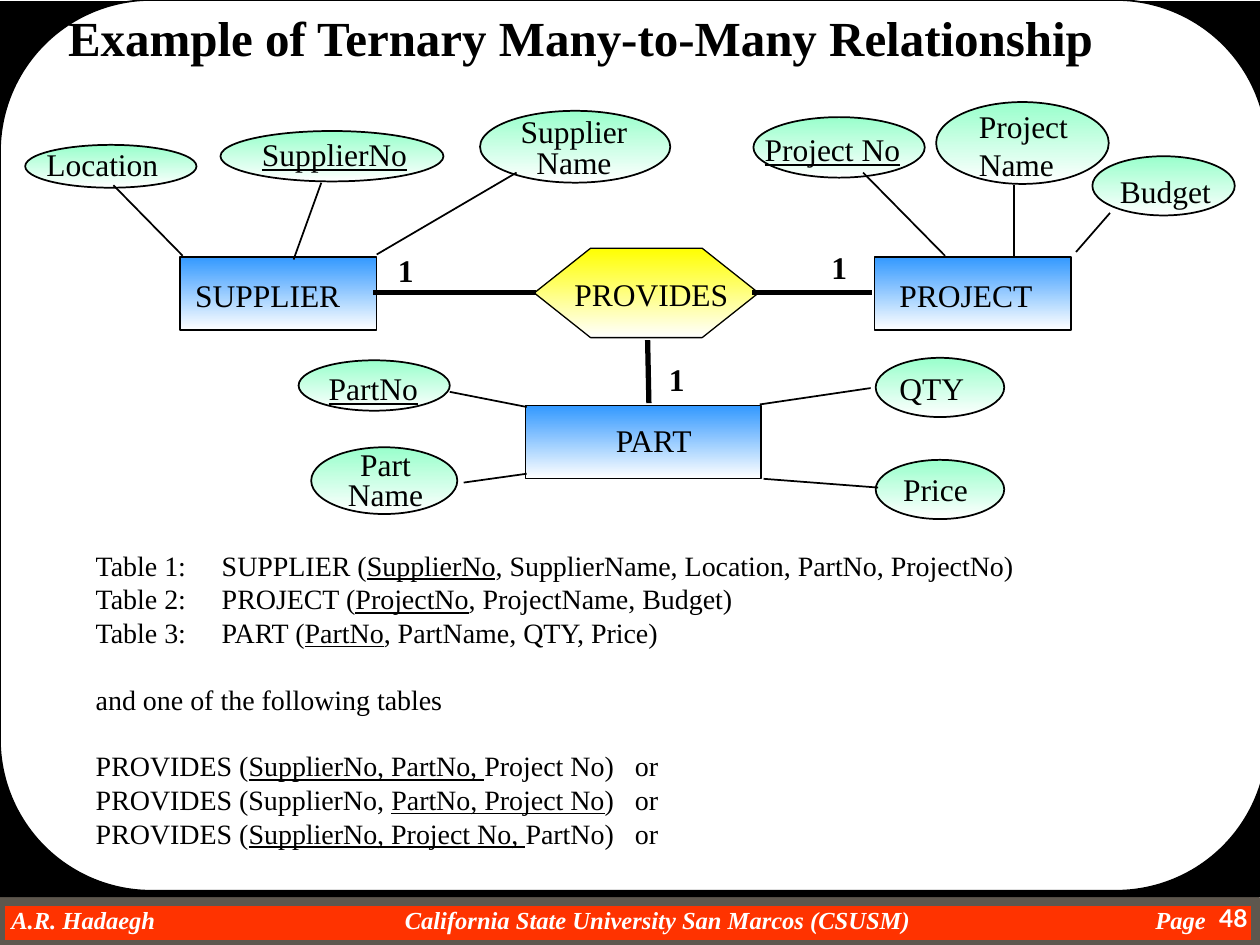
"""Build the slide on a ternary many-to-many relationship."""
from dataclasses import dataclass
from typing import NamedTuple

from lxml import etree
from pptx import Presentation
from pptx.dml.color import RGBColor
from pptx.enum import shapes, text
from pptx.oxml import ns
from pptx.util import Inches, Pt

KIND = shapes.MSO_SHAPE
ALIGN = text.PP_ALIGN


@dataclass(frozen=True)
class Theme:
    """Colours, fonts and type sizes."""

    ink: RGBColor = RGBColor(0, 0, 0)
    paper: RGBColor = RGBColor(255, 255, 255)
    entity: RGBColor = RGBColor(0x33, 0x99, 0xFF)
    attribute: RGBColor = RGBColor(0x99, 0xFF, 0xCC)
    relation: RGBColor = RGBColor(0xFF, 0xFF, 0)
    band: RGBColor = RGBColor(0xFF, 0x33, 0)
    band_edge: RGBColor = RGBColor(0x5E, 0x57, 0x4E)
    serif: str = "Times New Roman"
    sans: str = "Lato"
    title: int = 28
    label: int = 18
    tables: int = 16
    footer: int = 14


class Box(NamedTuple):
    """A rectangle in inches."""

    left: float
    top: float
    width: float
    height: float


class Node(NamedTuple):
    """A diagram symbol and its label."""

    box: Box
    label: str
    label_box: Box
    key: bool = False
    tight: bool = False


class Link(NamedTuple):
    """A line between two points in inches."""

    start: tuple[float, float]
    end: tuple[float, float]
    weight: float = 1


class Schema(NamedTuple):
    """A table line with an underlined key and an optional closing word."""

    lead: str
    key: str = ""
    rest: str = ""
    closing: str = ""
    gap: float = 0


THEME = Theme()
ENTITIES = [
    Node(Box(1.43, 2.04, 1.56, 0.58), "SUPPLIER", Box(1.45, 2.14, 1.35, 0.4)),
    Node(Box(6.94, 2.04, 1.56, 0.58), "PROJECT", Box(7.04, 2.14, 1.25, 0.4)),
    Node(Box(4.17, 3.22, 1.87, 0.58), "PART", Box(4.79, 3.29, 0.84, 0.4)),
]
ATTRIBUTES = [
    Node(Box(0.2, 1.15, 1.36, 0.34), "Location", Box(0.27, 1.1, 1.09, 0.4)),
    Node(Box(1.75, 1.04, 1.77, 0.4), "SupplierNo", Box(1.98, 1.02, 1.35, 0.4), key=True),
    Node(Box(3.81, 0.88, 1.51, 0.57), "Supplier\nName", Box(4.03, 0.9, 1.05, 0.58), tight=True),
    Node(Box(5.98, 0.93, 1.36, 0.48), "Project No", Box(5.97, 0.98, 1.27, 0.4), key=True),
    Node(Box(7.43, 0.81, 1.37, 0.65), "Project\nName", Box(7.67, 0.8, 0.91, 0.7)),
    Node(Box(8.67, 1.24, 1.13, 0.47), "Budget", Box(8.79, 1.32, 0.92, 0.4)),
    Node(Box(2.37, 2.86, 1.2, 0.4), "PartNo", Box(2.51, 2.88, 0.91, 0.4), key=True),
    Node(Box(2.47, 3.55, 1.16, 0.53), "Part\nName", Box(2.66, 3.54, 0.8, 0.58), tight=True),
    Node(Box(6.95, 2.84, 1.02, 0.47), "QTY", Box(7.04, 2.88, 0.71, 0.4)),
    Node(Box(6.95, 3.65, 1.02, 0.47), "Price", Box(7.07, 3.68, 0.71, 0.4)),
]
PROVIDES = Node(Box(4.24, 1.97, 1.78, 0.71), "PROVIDES", Box(4.46, 2.13, 1.42, 0.4))
LINKS = [
    Link((0.9, 1.47), (1.45, 2.03)),
    Link((2.55, 1.45), (2.33, 2.06)),
    Link((4.1, 1.37), (2.99, 2.02)),
    Link((6.85, 1.37), (7.5, 2.03)),
    Link((8.05, 1.47), (8.05, 2.03)),
    Link((8.81, 1.69), (8.54, 2)),
    Link((3.57, 3.11), (4.18, 3.23)),
    Link((3.68, 3.83), (4.18, 3.76)),
    Link((6.91, 3.08), (6.03, 3.21)),
    Link((6.97, 3.87), (6.06, 3.8)),
    Link((4.25, 2.32), (2.96, 2.32), 3),
    Link((5.97, 2.32), (6.92, 2.32), 3),
    Link((5.14, 2.7), (5.15, 3.2), 3),
]
CARDINALITIES = [(3.06, 1.94), (6.5, 1.92), (5.21, 2.81)]
SCHEMAS = [
    Schema("Table 1:\tSUPPLIER (", "SupplierNo", ", SupplierName, Location, PartNo, ProjectNo)"),
    Schema("Table 2:\tPROJECT (", "ProjectNo", ", ProjectName, Budget)"),
    Schema("Table 3:\tPART (", "PartNo", ", PartName, QTY, Price)"),
    Schema("and one of the following tables", gap=19),
    Schema("PROVIDES (", "SupplierNo, PartNo, ", "Project No)", "or", 19),
    Schema("PROVIDES (SupplierNo, ", "PartNo, Project No", ")", "or"),
    Schema("PROVIDES (", "SupplierNo, Project No, ", "PartNo)", "or"),
]


def inches(box: Box) -> list:
    """Convert a box to lengths."""
    return [Inches(side) for side in box]


def place(holder, box: Box) -> None:
    """Move a placeholder to a box, above what is already drawn."""
    holder.left, holder.top, holder.width, holder.height = inches(box)
    holder._element.getparent().append(holder._element)
    holder.text_frame.auto_size = text.MSO_AUTO_SIZE.NONE
    holder.text_frame.vertical_anchor = text.MSO_ANCHOR.TOP


def style(font, size: int, color: RGBColor = THEME.ink, name: str = THEME.serif,
          bold: bool = False) -> None:
    """Apply face, size and colour."""
    font.name, font.size, font.bold = name, Pt(size), bold
    font.color.rgb = color


def set_tabs(paragraph, stops: list[tuple[float, str]]) -> None:
    """Add tab stops given in inches."""
    tabs = etree.SubElement(paragraph._p.get_or_add_pPr(), ns.qn("a:tabLst"))
    for position, side in stops:
        etree.SubElement(tabs, ns.qn("a:tab"), pos=str(Inches(position)), algn=side)


def add_outline(slide, kind, box: Box, fill: RGBColor, edge: RGBColor | None = None,
                weight: float = 1, fade: bool = False):
    """Draw a preset shape, optionally fading to paper at the bottom."""
    outline = slide.shapes.add_shape(kind, *inches(box))
    outline.shadow.inherit = False
    if fade:
        outline.fill.gradient()
        outline.fill.gradient_angle = 270
        for stop, color in zip(outline.fill.gradient_stops, (fill, THEME.paper)):
            stop.color.rgb = color
    else:
        outline.fill.solid()
        outline.fill.fore_color.rgb = fill
    if edge is None:
        outline.line.fill.background()
    else:
        outline.line.color.rgb = edge
        outline.line.width = Pt(weight)
    return outline


def add_label(slide, words: str, box: Box, key: bool = False, tight: bool = False,
              bold: bool = False) -> None:
    """Write a diagram label."""
    frame = slide.shapes.add_textbox(*inches(box)).text_frame
    frame.word_wrap = False
    if not tight:
        frame.margin_right = 0
    frame.text = words
    for paragraph in frame.paragraphs:
        style(paragraph.runs[0].font, THEME.label, bold=bold)
        if key:
            paragraph.runs[0].font.underline = True
        if tight:
            paragraph.alignment = ALIGN.CENTER
            paragraph.line_spacing = 0.8


def add_node(slide, kind, node: Node, fill: RGBColor, weight: float):
    """Draw a symbol with its label."""
    symbol = add_outline(slide, kind, node.box, fill, THEME.ink, weight, fade=True)
    add_label(slide, node.label, node.label_box, node.key, node.tight)
    return symbol


def add_link(slide, link: Link) -> None:
    """Draw a line between symbols."""
    ends = [Inches(value) for value in (*link.start, *link.end)]
    line = slide.shapes.add_connector(shapes.MSO_CONNECTOR.STRAIGHT, *ends)
    line.line.color.rgb = THEME.ink
    line.line.width = Pt(link.weight)
    etree.SubElement(line._element.spPr, ns.qn("a:effectLst"))


def add_frame(slide) -> None:
    """Draw the backdrop and the footer."""
    add_outline(slide, KIND.RECTANGLE, Box(0, 7.15, 9.97, 0.35), THEME.band, THEME.band_edge, 6)
    add_outline(slide, KIND.RECTANGLE, Box(0, 0.01, 10, 7.11), THEME.ink)
    panel = add_outline(slide, KIND.ROUNDED_RECTANGLE, Box(0, 0, 10.06, 7.07), THEME.paper, THEME.ink)
    panel.adjustments[0] = 0.17
    credit = slide.shapes.add_textbox(*inches(Box(0.09, 7.18, 9.59, 0.23))).text_frame
    credit.margin_left = credit.margin_right = credit.margin_top = credit.margin_bottom = 0
    credit.word_wrap = True
    credit.text = "A.R. Hadaegh\tCalifornia State University San Marcos (CSUSM)\tPage"
    set_tabs(credit.paragraphs[0], [(5.13, "ctr"), (9.48, "r")])
    for run in credit.paragraphs[0].runs:
        style(run.font, THEME.footer, THEME.paper, bold=True)
        run.font.italic = True
    number = slide.shapes.add_textbox(*inches(Box(9.25, 7.12, 0.75, 0.38))).text_frame
    number.word_wrap = True
    number.text = "48"
    number.paragraphs[0].alignment = ALIGN.RIGHT
    style(number.paragraphs[0].runs[0].font, THEME.footer, THEME.paper, THEME.sans, True)


def fill_title(title) -> None:
    """Write the heading."""
    place(title, Box(0.44, 0.01, 8.43, 0.57))
    title.text_frame.word_wrap = False
    title.text_frame.text = "Example of Ternary Many-to-Many Relationship"
    heading = title.text_frame.paragraphs[0]
    heading.alignment = ALIGN.LEFT
    style(heading.runs[0].font, THEME.title, bold=True)


def add_part(paragraph, words: str, underline: bool = False, spacing: int = 0) -> None:
    """Append a run, with letter spacing in points."""
    run = paragraph.add_run()
    run.text = words
    style(run.font, THEME.tables)
    run.font.underline = underline
    if spacing:
        run._r.get_or_add_rPr().set("spc", str(spacing * 100))


def fill_schemas(body) -> None:
    """List the tables with their keys underlined."""
    place(body, Box(0.66, 4.3, 7.78, 2.52))
    frame = body.text_frame
    for index, schema in enumerate(SCHEMAS):
        paragraph = frame.add_paragraph() if index else frame.paragraphs[0]
        properties = paragraph._p.get_or_add_pPr()
        properties.set("marL", "0")
        properties.set("indent", "0")
        etree.SubElement(properties, ns.qn("a:buNone"))
        set_tabs(paragraph, [(1, "l")])
        paragraph.space_before = Pt(schema.gap)
        add_part(paragraph, schema.lead)
        if schema.key:
            add_part(paragraph, schema.key, underline=True)
            add_part(paragraph, schema.rest)
        if schema.closing:
            add_part(paragraph, " ", spacing=8)
            add_part(paragraph, schema.closing)


def main() -> None:
    """Assemble and save the slide."""
    deck = Presentation()
    deck.slide_width, deck.slide_height = Inches(10), Inches(7.5)
    slide = deck.slides.add_slide(deck.slide_layouts[1])
    title, body = slide.placeholders
    add_frame(slide)
    fill_title(title)
    fill_schemas(body)
    for entity in ENTITIES:
        add_node(slide, KIND.RECTANGLE, entity, THEME.entity, 0.75)
    for attribute in ATTRIBUTES:
        add_node(slide, KIND.OVAL, attribute, THEME.attribute, 1)
    add_node(slide, KIND.HEXAGON, PROVIDES, THEME.relation, 0.75).adjustments[0] = 0.63
    for link in LINKS:
        add_link(slide, link)
    for left, top in CARDINALITIES:
        add_label(slide, "1", Box(left, top, 0.33, 0.4), bold=True)
    deck.save("out.pptx")


if __name__ == "__main__":
    main()
